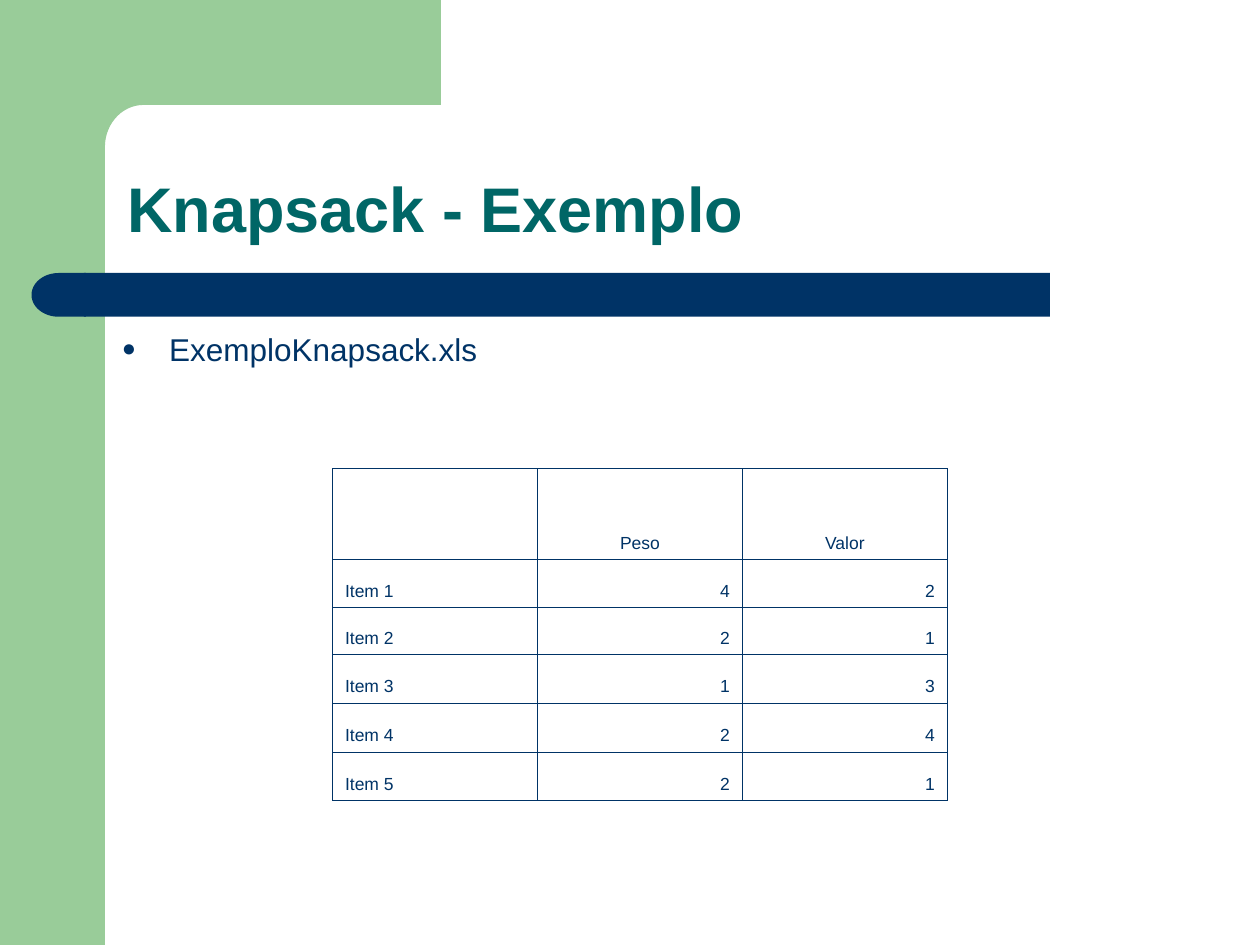
import math

import lxml.etree
import pptx
import pptx.dml.color
import pptx.enum.shapes
import pptx.enum.text
import pptx.oxml.ns
import pptx.util

Pt = pptx.util.Pt
Shape = pptx.enum.shapes.MSO_SHAPE
Align = pptx.enum.text.PP_ALIGN
Anchor = pptx.enum.text.MSO_ANCHOR

COLORS = {"green": "99CC99", "navy": "003366", "teal": "006666"}
ITEMS = [
    ("", "Peso", "Valor"),
    ("Item 1", "4", "2"),
    ("Item 2", "2", "1"),
    ("Item 3", "1", "3"),
    ("Item 4", "2", "4"),
    ("Item 5", "2", "1"),
]
ROW_HEIGHTS = [52, 27.5, 27, 27.5, 28, 28]
COLUMN_WIDTH = 117.1


def rgb(name):
    return pptx.dml.color.RGBColor.from_string(COLORS[name])


def add_xml(parent, tag, **attributes):
    element = lxml.etree.SubElement(parent, pptx.oxml.ns.qn(tag))
    for name, value in attributes.items():
        element.set(name, str(value))
    return element


def write_text(frame, text, size=10, color="navy", bold=False, align=Align.LEFT):
    frame.word_wrap = True
    paragraph = frame.paragraphs[0]
    paragraph.alignment = align
    run = paragraph.add_run()
    run.text = text
    run.font.name = "Arial"
    run.font.size = Pt(size)
    run.font.bold = bold
    run.font.color.rgb = rgb(color)
    return paragraph


def paint(shape, color):
    shape.shadow.inherit = False
    shape.fill.solid()
    shape.fill.fore_color.rgb = rgb(color)
    shape.line.fill.background()


def add_block(slide, kind, left, top, width, height, color):
    shape = slide.shapes.add_shape(kind, Pt(left), Pt(top), Pt(width), Pt(height))
    paint(shape, color)
    return shape


def add_corner(slide):
    angles = [math.radians(6 * step) for step in range(16)]
    arc = [(82 - 22 * math.sin(a), 84 - 24 * math.cos(a)) for a in angles]
    points = [(252, 60), *arc, (60, 92), (36, 92), (36, 0)]
    builder = slide.shapes.build_freeform(Pt(252), 0)
    builder.add_line_segments([(Pt(x), Pt(y)) for x, y in points])
    paint(builder.convert_to_shape(), "green")


def add_title(slide):
    title = slide.shapes.title
    title.left, title.top = Pt(65.5), Pt(65.5)
    title.width, title.height = Pt(612.7), Pt(78.5)
    title.text_frame.vertical_anchor = Anchor.BOTTOM
    paragraph = write_text(
        title.text_frame, "Knapsack - Exemplo", size=36, color="teal", bold=True
    )
    paragraph.line_spacing = 0.9


def add_bullet(slide):
    box = slide.shapes.add_textbox(Pt(62.6), Pt(185), Pt(649.4), Pt(55.4))
    paragraph = write_text(box.text_frame, "ExemploKnapsack.xls", size=18)
    paragraph.space_before = Pt(4.5)
    properties = paragraph._p.get_or_add_pPr()
    properties.set("marL", str(Pt(27)))
    properties.set("indent", str(Pt(-27)))
    bullet_color = add_xml(properties, "a:buClr")
    add_xml(bullet_color, "a:srgbClr", val=COLORS["navy"])
    add_xml(properties, "a:buSzPct", val=75000)
    add_xml(properties, "a:buFont", typeface="Arial")
    add_xml(properties, "a:buChar", char="●")


def add_borders(cell):
    properties = cell._tc.get_or_add_tcPr()
    for side in ("L", "R", "T", "B"):
        line = add_xml(properties, f"a:ln{side}", w=Pt(0.45))
        fill = add_xml(line, "a:solidFill")
        add_xml(fill, "a:srgbClr", val=COLORS["navy"])


def cell_alignment(row, column):
    if row == 0:
        return Align.CENTER
    return Align.RIGHT if column else Align.LEFT


def add_items_table(slide):
    frame = slide.shapes.add_table(
        len(ITEMS), len(ITEMS[0]), Pt(190), Pt(267.7),
        Pt(COLUMN_WIDTH * len(ITEMS[0])), Pt(sum(ROW_HEIGHTS)),
    )
    table = frame.table
    table.first_row = False
    table.horz_banding = False
    for column in table.columns:
        column.width = Pt(COLUMN_WIDTH)
    for row, height in zip(table.rows, ROW_HEIGHTS):
        row.height = Pt(height)
    for row, values in enumerate(ITEMS):
        for column, value in enumerate(values):
            cell = table.cell(row, column)
            add_borders(cell)
            cell.fill.background()
            cell.vertical_anchor = Anchor.BOTTOM
            if value:
                write_text(cell.text_frame, value, align=cell_alignment(row, column))


def main():
    presentation = pptx.Presentation()
    presentation.slide_width = Pt(720)
    presentation.slide_height = Pt(540)
    slide = presentation.slides.add_slide(presentation.slide_layouts[5])
    add_block(slide, Shape.RECTANGLE, 0, 0, 60, 540, "green")
    add_corner(slide)
    bar = add_block(slide, Shape.ROUNDED_RECTANGLE, 48, 156, 552, 25, "navy")
    bar.adjustments[0] = 0
    bar_end = add_block(slide, Shape.FLOWCHART_DELAY, 18, 156, 31, 25, "navy")
    bar_end.rotation = 180
    add_title(slide)
    add_bullet(slide)
    add_items_table(slide)
    presentation.save("out.pptx")


if __name__ == "__main__":
    main()
